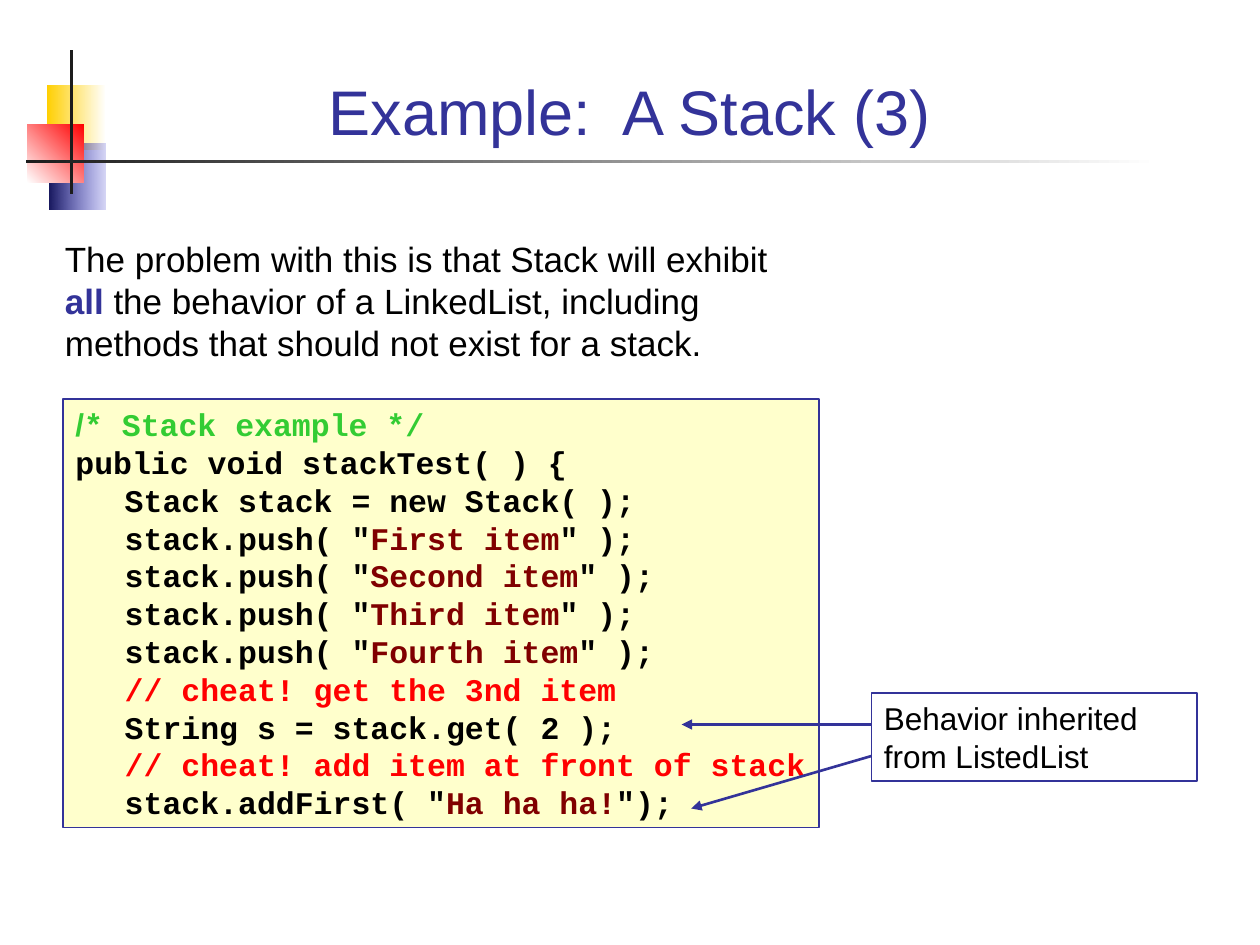
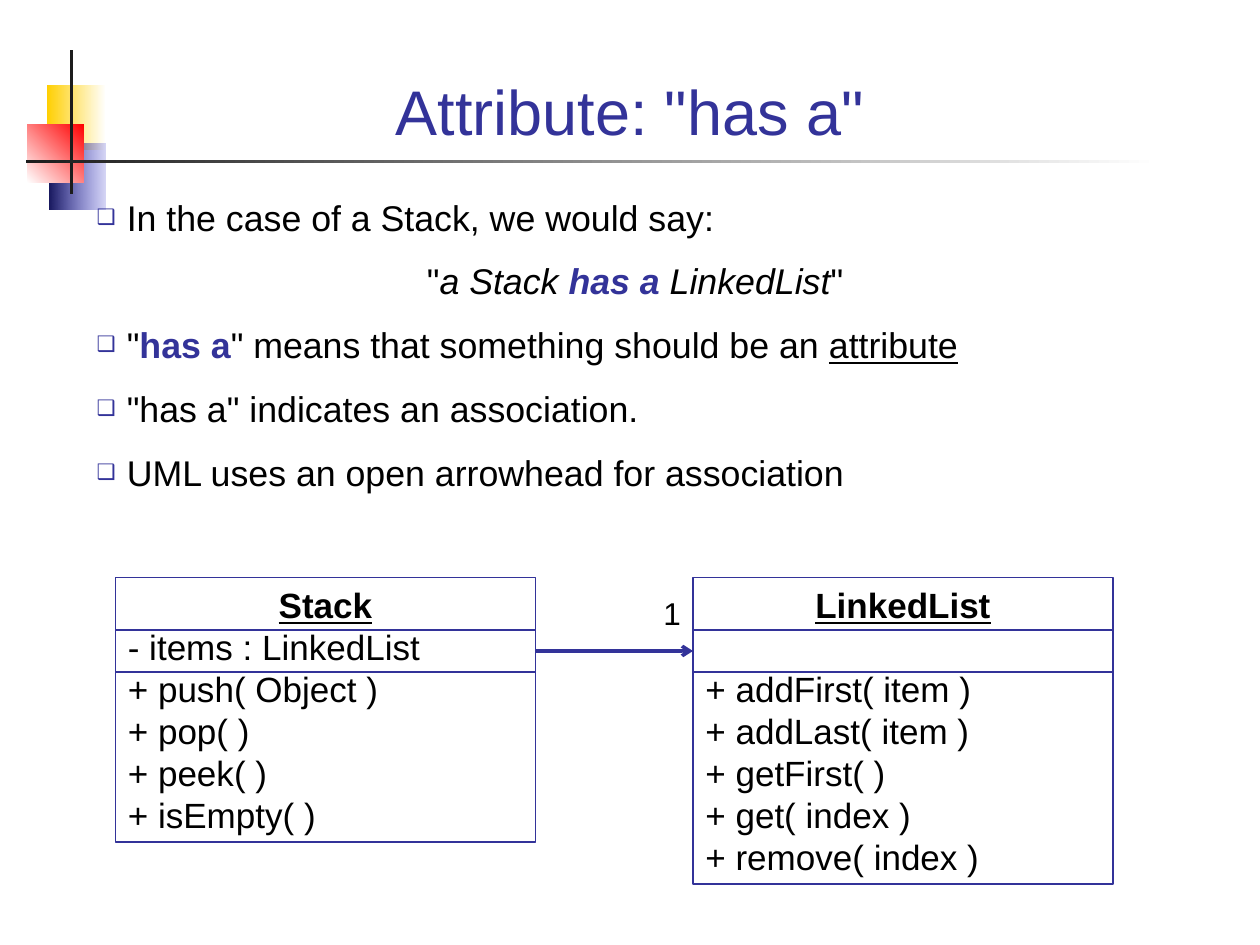
from lxml import etree
from pptx import Presentation
from pptx.dml.color import RGBColor
from pptx.enum import shapes as sh, text as tx
from pptx.oxml import ns
from pptx.util import Pt

NAVY = RGBColor(0x33, 0x33, 0x99)
BLACK = RGBColor(0, 0, 0)
WHITE = RGBColor(0xFF, 0xFF, 0xFF)
GREEN = RGBColor(0x33, 0xCC, 0x33)
MAROON = RGBColor(0x80, 0, 0)
RED = RGBColor(0xFF, 0, 0)
CREAM = RGBColor(0xFF, 0xFF, 0xCC)
GOLD = RGBColor(0xFF, 0xCF, 0x01)
BLUE = RGBColor(0x33, 0x33, 0xCC)
DEEP = RGBColor(0x17, 0x17, 0x5E)
INK = RGBColor(0x1C, 0x1C, 0x1C)

LEFT, MID = tx.PP_ALIGN.LEFT, tx.PP_ALIGN.CENTER
KEY = {"bold": True, "color": NAVY}
ITAL = {"italic": True}
LINE = {"underline": True}
NOTE = {"color": RED}
TEXT = {"name": "Arial", "size": 20, "color": BLACK}
SMALL = {**TEXT, "size": 18}
BODY = {**TEXT, "size": 20.4}
HEAD = {**TEXT, "size": 36, "color": NAVY}
CODE = {**SMALL, "name": "Courier New", "bold": True}

TITLES = ["Example:  A Stack (3)", 'Attribute: "has a"']
PROBLEM = [
    ("The problem with this is that Stack will exhibit ", {}),
    ("all", KEY),
    (" the behavior of a LinkedList, including methods that should not exist for a stack.", {}),
]
ITEMS = ["First item", "Second item", "Third item", "Fourth item"]
OPENING = [
    [("/", {"name": "Arial", "color": GREEN}), ("* Stack example */", {"color": GREEN})],
    [("public void stackTest( ) {", {})],
]
STEPS = [
    [("Stack stack = new Stack( );", {})],
    *[[('stack.push( "', {}), (item, {"color": MAROON}), ('" );', {})] for item in ITEMS],
    [("// cheat! get the 3nd item", NOTE)],
    [("String s = stack.get( 2 );", {})],
    [("// cheat! add item at front of stack", NOTE)],
    [('stack.addFirst( "', {}), ("Ha ha ha!", {"color": MAROON}), ('");', {})],
]
CALLOUT = "Behavior inherited from ListedList"
ARROWS = [(498, 432, 395, 462), (498, 414, 389.5, 414)]

QUOTE = [('"', {}), ("a Stack ", ITAL), ("has a", {**KEY, **ITAL}), (" LinkedList", ITAL), ('"', {})]
POINTS = [
    [("In the case of a Stack, we would say:", {})],
    QUOTE,
    [('"', {}), ("has a", KEY), ('" means that something should be an ', {}), ("attribute", LINE)],
    [('"has a" indicates an association.', {})],
    [("UML uses an open arrowhead for association", {})],
]
CLASSES = [
    (66, "Stack", ["- items : LinkedList"],
     ["+ push( Object )", "+ pop( )", "+ peek( )", "+ isEmpty( )"]),
    (396, "LinkedList", [],
     ["+ addFirst( item )", "+ addLast( item )", "+ getFirst( )", "+ get( index )", "+ remove( index )"]),
]
TOP, WIDE, ROW = 330, 240, 24

TILES = [
    ((26.8, 48.3, 33.8, 37.4), WHITE, GOLD, 180),
    ((28.1, 82, 32.4, 37.5), BLUE, DEEP, 180),
    ((15.5, 71, 32.5, 33.3), RED, WHITE, 225),
    ((40, 28.8, 2, 82.1), INK, INK, 180),
    ((15, 91.3, 647, 2), WHITE, INK, 180),
]


def child(node, tag, **attrs):
    return etree.SubElement(node, ns.qn(tag), attrs)


def style(font, form):
    for key, val in form.items():
        if key == "color":
            font.color.rgb = val
        else:
            setattr(font, key, Pt(val) if key == "size" else val)


def place(shape, at):
    for key, val in zip(("left", "top", "width", "height"), at):
        setattr(shape, key, Pt(val))


def frame(shape, anchor=tx.MSO_ANCHOR.TOP):
    area = shape.text_frame
    form = {"word_wrap": True, "auto_size": tx.MSO_AUTO_SIZE.NONE, "vertical_anchor": anchor,
            "margin_left": Pt(7.2), "margin_right": Pt(7.2),
            "margin_top": Pt(3.6), "margin_bottom": Pt(3.6)}
    for key, val in form.items():
        setattr(area, key, val)
    return area


def write(area, runs, form, align=LEFT, before=0, left=0, hang=0, mark=False):
    para = area.paragraphs[0]
    if para.runs:
        para = area.add_paragraph()
    prop = para._p.get_or_add_pPr()
    prop.set("marL", str(Pt(left)))
    prop.set("indent", str(Pt(-hang)))
    if mark:
        child(child(prop, "a:buClr"), "a:srgbClr", val=str(NAVY))
        child(prop, "a:buSzPct", val="60000")
        child(prop, "a:buChar", char="❑")
    else:
        child(prop, "a:buNone")
    para.alignment = align
    para.space_before = Pt(before)
    para.line_spacing = Pt(round(form["size"] * 1.2, 2))
    for words, extra in runs:
        run = para.add_run()
        run.text = words
        style(run.font, {**form, **extra})


def box(slide, at, fill=None):
    shape = slide.shapes.add_shape(sh.MSO_SHAPE.RECTANGLE, *map(Pt, at))
    shape.shadow.inherit = False
    if fill is None:
        shape.fill.background()
    else:
        shape.fill.solid()
        shape.fill.fore_color.rgb = fill
    shape.line.color.rgb = NAVY
    shape.line.width = Pt(0.75)
    return shape


def label(slide, at):
    return frame(slide.shapes.add_textbox(*map(Pt, at)))


def link(slide, ends, width=0.75, tip=None):
    line = slide.shapes.add_connector(sh.MSO_CONNECTOR.STRAIGHT, *map(Pt, ends))
    line.line.color.rgb = NAVY
    line.line.width = Pt(width)
    if tip:
        child(line.line._get_or_add_ln(), "a:tailEnd", type=tip)
    child(line.element.spPr, "a:effectLst")


def brand(slide, master):
    for num, (at, start, end, angle) in enumerate(TILES, 20):
        tile = box(slide, at)
        tile.line.fill.background()
        tile.fill.gradient()
        tile.fill.gradient_angle = angle
        for stop, tone in zip(tile.fill.gradient_stops, (start, end)):
            stop.color.rgb = tone
        if start == BLUE:
            child(next(tile.element.spPr.iter(ns.qn("a:srgbClr"))), "a:alpha", val="20000")
        tile.element.nvSpPr.cNvPr.set("id", str(num))
        master.shapes.element.append(tile.element)


def start(deck, layout, title):
    slide = deck.slides.add_slide(deck.slide_layouts[layout])
    place(slide.shapes.title, (48, 20, 624, 68.5))
    write(frame(slide.shapes.title, tx.MSO_ANCHOR.BOTTOM), [(title, {})], HEAD, MID)
    return slide


def stack(slide):
    write(label(slide, (30, 132, 438, 79)), PROBLEM, TEXT)
    area = frame(box(slide, (36, 228, 432, 245), CREAM))
    for runs in OPENING:
        write(area, runs, CODE)
    for runs in STEPS:
        write(area, runs, CODE, left=28.2)
    for ends in ARROWS:
        link(slide, ends, 1.5, "triangle")
    write(frame(box(slide, (498, 396, 186, 50.4))), [(CALLOUT, {})], SMALL)


def has(slide):
    body = slide.placeholders[1]
    place(body, (48, 108, 624, 174))
    area = frame(body)
    for num, runs in enumerate(POINTS):
        form = {"align": MID, "left": 5.8} if runs is QUOTE else {"left": 17.3, "hang": 17.3, "mark": True}
        write(area, runs, BODY, before=12 if num else 0, **form)
    for left, name, fields, calls in CLASSES:
        high = ROW * (2 + len(calls)) + 7.2
        area = frame(box(slide, (left, TOP, WIDE, high)))
        write(area, [(name, {"bold": True, **LINE})], TEXT, MID)
        for field in fields:
            write(area, [(field, {})], TEXT)
        for num, call in enumerate(calls):
            write(area, [(call, {})], TEXT, before=0 if fields or num else ROW)
        for drop in (30, 54):
            link(slide, (left, TOP + drop, left + WIDE, TOP + drop))
    link(slide, (66 + WIDE, 372, 396, 372), 2, "arrow")
    write(label(slide, (372, 336, 24, 29)), [("1", {})], SMALL)


def main():
    deck = Presentation()
    deck.slide_width, deck.slide_height = Pt(720), Pt(540)
    first = start(deck, 5, TITLES[0])
    brand(first, deck.slide_master)
    stack(first)
    has(start(deck, 1, TITLES[1]))
    deck.save("out.pptx")


if __name__ == "__main__":
    main()
